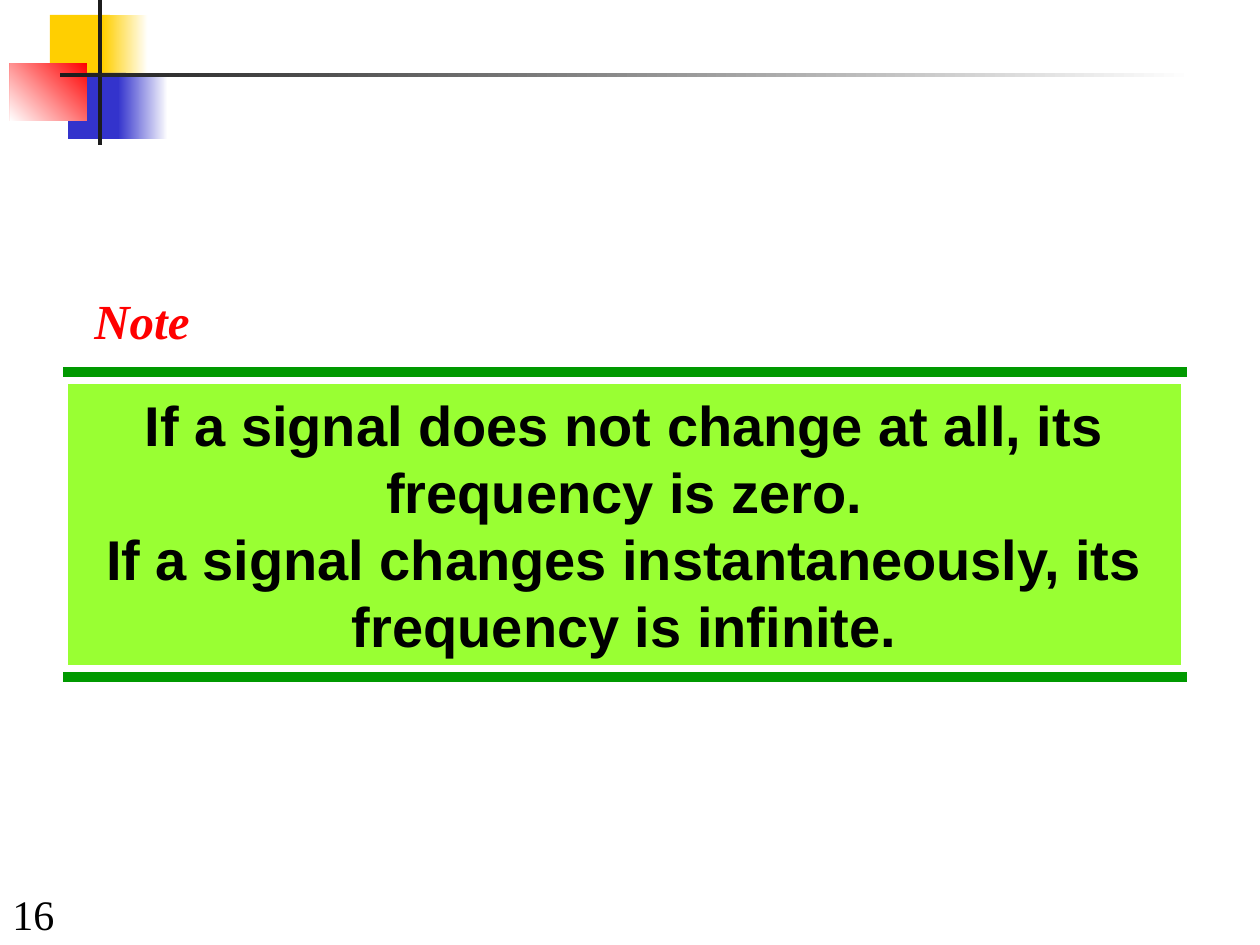
import pptx
import pptx.dml.color
import pptx.enum.shapes
import pptx.enum.text
import pptx.util
from lxml import etree

PX = 914400 / 126  # EMU in one px

THEME = {
    "yellow": "FFCF01", "blue": "3333CC", "red": "FF0000", "dark": "1C1C1C",
    "white": "FFFFFF", "black": "000000", "rule": "009900", "panel": "99FF33",
    "serif": "Times New Roman", "sans": "Arial",
    "number_size": 24, "note_size": 28, "statement_size": 32, "rule_width": 6,
}


def color(name):
    return pptx.dml.color.RGBColor.from_string(THEME[name])


def write(shape, lines, frame_format, alignment, font_format):
    frame = shape.text_frame
    for name, value in frame_format.items():
        setattr(frame, name, value)
    frame.text = "\n".join(lines)
    for paragraph in frame.paragraphs:
        paragraph.alignment = alignment
        font = paragraph.runs[0].font
        for name, value in font_format.items():
            if name == "color":
                font.color.rgb = color(value)
            else:
                setattr(font, name, value)


presentation = pptx.Presentation()
presentation.slide_width = round(1260 * PX)
presentation.slide_height = round(945 * PX)
slide = presentation.slides.add_slide(presentation.slide_layouts[6])
shapes = slide.shapes
align = pptx.enum.text.PP_ALIGN
anchor = pptx.enum.text.MSO_ANCHOR
auto_size = pptx.enum.text.MSO_AUTO_SIZE

# Slide number
number = shapes.add_textbox(*[round(v * PX) for v in (0, 882, 262, 63)])
write(number, ["16"],
      {"word_wrap": True, "vertical_anchor": anchor.BOTTOM}, align.LEFT,
      {"name": THEME["serif"], "size": pptx.util.Pt(THEME["number_size"]), "color": "black"})

# Corner ornament and statement panel: box, colours, gradient angle (counter-clockwise)
rectangles = [
    ((50, 15, 60, 66), ["yellow"], None),
    ((103, 15, 45, 66), ["white", "yellow"], 180),
    ((68, 73, 58, 66), ["blue"], None),
    ((118, 73, 50, 66), ["white", "blue"], 180),
    ((10, 63, 77, 58), ["red", "white"], 225),
    ((98, 0, 4, 145), ["dark"], None),
    ((60, 73, 1134, 4), ["white", "dark"], 180),
    ((68, 384, 1113, 281), ["panel"], None),
]
for box, colors, angle in rectangles:
    shape = shapes.add_shape(pptx.enum.shapes.MSO_SHAPE.RECTANGLE,
                             *[round(v * PX) for v in box])
    shape.shadow.inherit = False
    shape.line.fill.background()
    if angle is None:
        shape.fill.solid()
        shape.fill.fore_color.rgb = color(colors[0])
    else:
        shape.fill.gradient()
        shape.fill.gradient_angle = angle
        for stop, name, position in zip(shape.fill.gradient_stops, colors, (0, 1)):
            stop.color.rgb = color(name)
            stop.position = position
panel = shape

# Statement
write(panel,
      ["If a signal does not change at all, its frequency is zero.",
       "If a signal changes instantaneously, its frequency is infinite."],
      {"word_wrap": True, "vertical_anchor": anchor.TOP,
       "auto_size": auto_size.SHAPE_TO_FIT_TEXT}, align.CENTER,
      {"name": THEME["sans"], "size": pptx.util.Pt(THEME["statement_size"]),
       "bold": True, "color": "black"})

# Rules above and below the panel
for y in (372, 677):
    rule = shapes.add_connector(pptx.enum.shapes.MSO_CONNECTOR.STRAIGHT,
                                *[round(v * PX) for v in (63, y, 1187, y)])
    rule.line.color.rgb = color("rule")
    rule.line.width = pptx.util.Pt(THEME["rule_width"])
    etree.SubElement(rule.element.spPr, pptx.oxml.ns.qn("a:effectLst"))

# Note label
note = shapes.add_textbox(*[round(v * PX) for v in (82, 284, 121, 72)])
write(note, ["Note"],
      {"word_wrap": False, "vertical_anchor": anchor.TOP,
       "auto_size": auto_size.SHAPE_TO_FIT_TEXT}, align.LEFT,
      {"name": THEME["serif"], "size": pptx.util.Pt(THEME["note_size"]),
       "bold": True, "italic": True, "color": "red"})

presentation.save("out.pptx")
